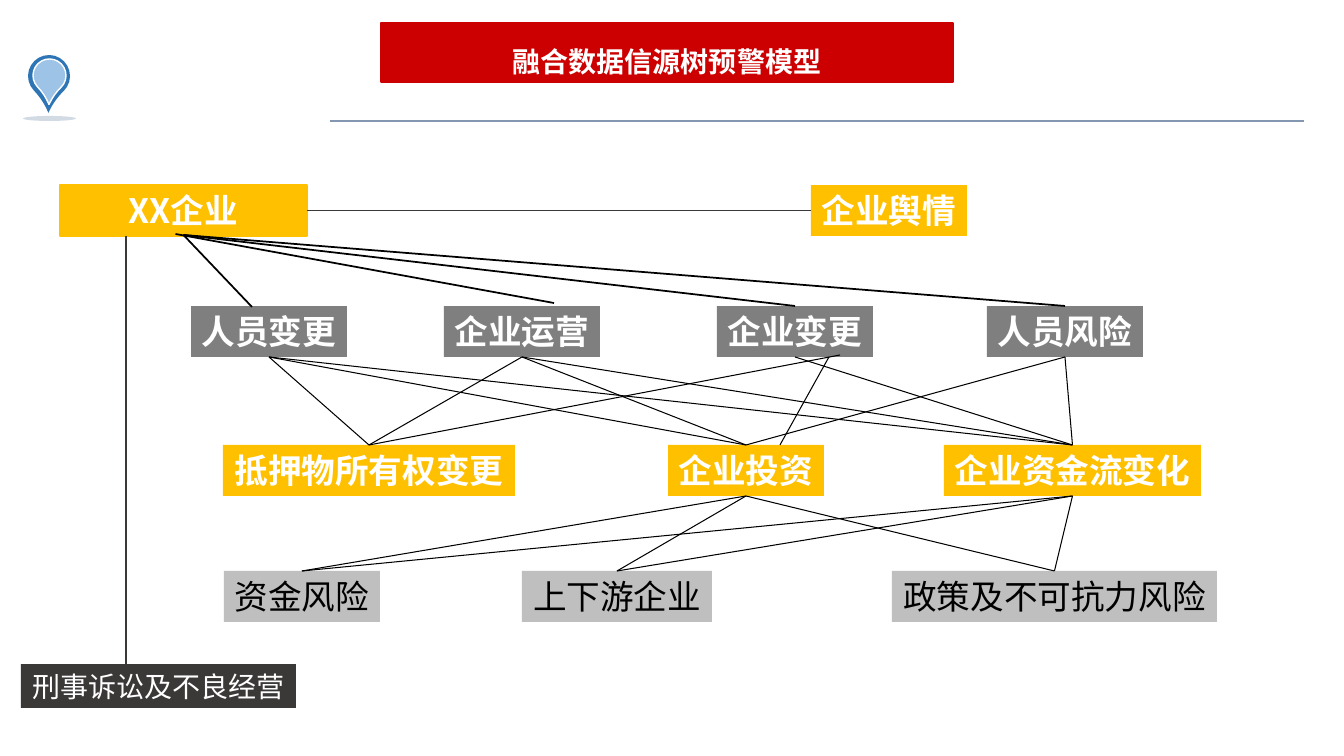
from dataclasses import dataclass

from lxml import etree
from pptx import Presentation
from pptx.dml.color import RGBColor
from pptx.enum.shapes import MSO_CONNECTOR, MSO_SHAPE
from pptx.enum.text import MSO_ANCHOR, MSO_AUTO_SIZE, PP_ALIGN
from pptx.oxml.ns import qn
from pptx.util import Pt

RECTANGLE, TEARDROP, OVAL = MSO_SHAPE.RECTANGLE, MSO_SHAPE.TEAR, MSO_SHAPE.OVAL
STRAIGHT = MSO_CONNECTOR.STRAIGHT
CENTER, MIDDLE = PP_ALIGN.CENTER, MSO_ANCHOR.MIDDLE
PAGE_WIDTH, PAGE_HEIGHT = 1344, 756
EMU_PER_PX = 914400 / 100.8
TITLE_ONLY = 5


@dataclass(frozen=True)
class Theme:
    font: str = "Noto Sans CJK SC"
    red: str = "CC0000"
    gold: str = "FFC000"
    gray: str = "7F7F7F"
    silver: str = "BFBFBF"
    charcoal: str = "3B3838"
    white: str = "FFFFFF"
    black: str = "000000"
    pin: str = "2E75B6"
    pin_inside: str = "9DC3E6"
    pin_shadow: str = "1F4E79"
    rule: str = "8497B0"
    node_size: int = 24
    small_size: int = 20


THEME = Theme()

TITLE = "融合数据信源树预警模型"
TITLE_AREA = (381, 23, 572, 59)
RULE = ((330, 121), (1304, 121))

ROOT, OPINION, LAWSUIT = "XX企业", "企业舆情", "刑事诉讼及不良经营"
STAFF_CHANGE, OPERATION = "人员变更", "企业运营"
FIRM_CHANGE, STAFF_RISK = "企业变更", "人员风险"
COLLATERAL, INVESTMENT, CASH_FLOW = "抵押物所有权变更", "企业投资", "企业资金流变化"
FUND_RISK, SUPPLY_CHAIN, POLICY_RISK = "资金风险", "上下游企业", "政策及不可抗力风险"

# Rows: top, height, fill, text colour, size, bold, {text: (left, width)}
ROWS = [
    (185, 51, THEME.gold, THEME.white, THEME.node_size, True,
     {ROOT: (60, 247), OPINION: (811, 156)}),
    (306, 51, THEME.gray, THEME.white, THEME.node_size, True,
     {STAFF_CHANGE: (191, 156), OPERATION: (444, 156),
      FIRM_CHANGE: (717, 156), STAFF_RISK: (987, 156)}),
    (445, 51, THEME.gold, THEME.white, THEME.node_size, True,
     {COLLATERAL: (223, 292), INVESTMENT: (668, 156), CASH_FLOW: (944, 257)}),
    (571, 51, THEME.silver, THEME.black, THEME.node_size, False,
     {FUND_RISK: (224, 156), SUPPLY_CHAIN: (522, 190), POLICY_RISK: (892, 325)}),
    (664, 44, THEME.charcoal, THEME.white, THEME.small_size, False,
     {LAWSUIT: (21, 275)}),
]

# Parent: (line width, children)
LINKS = {
    ROOT: (1.25, [STAFF_CHANGE, OPERATION, FIRM_CHANGE, STAFF_RISK]),
    STAFF_CHANGE: (0.75, [COLLATERAL, INVESTMENT, CASH_FLOW]),
    OPERATION: (0.75, [COLLATERAL, INVESTMENT, CASH_FLOW]),
    FIRM_CHANGE: (0.75, [COLLATERAL, INVESTMENT, CASH_FLOW]),
    STAFF_RISK: (0.75, [INVESTMENT, CASH_FLOW]),
    INVESTMENT: (0.75, [FUND_RISK, SUPPLY_CHAIN, POLICY_RISK]),
    CASH_FLOW: (0.75, [FUND_RISK, SUPPLY_CHAIN, POLICY_RISK]),
}
# Shifts of a link's two ends away from the middle of the box edges
SHIFTS = {
    (ROOT, STAFF_CHANGE): ((0, -1), (-17, 1)),
    (ROOT, OPERATION): ((-8, -2), (32, -3)),
    (ROOT, FIRM_CHANGE): ((0, -1), (0, 0)),
    (ROOT, STAFF_RISK): ((0, -1), (0, 0)),
    (FIRM_CHANGE, COLLATERAL): ((45, -2), (0, 0)),
    (FIRM_CHANGE, INVESTMENT): ((34, 0), (34, 0)),
}
NO_SHIFT = ((0, 0), (0, 0))
LAWSUIT_LINE_X = 126


def px(value):
    return round(value * EMU_PER_PX)


def rgb(color):
    return RGBColor.from_string(color)


def paint(shape, fill, line=None, width=2):
    shape.fill.solid()
    shape.fill.fore_color.rgb = rgb(fill)
    if line:
        shape.line.color.rgb = rgb(line)
        shape.line.width = Pt(width)
    else:
        shape.line.fill.background()


def add_figure(page, kind, area, fill, line=None, width=2):
    shape = page.shapes.add_shape(kind, *map(px, area))
    shape.shadow.inherit = False
    paint(shape, fill, line, width)
    return shape


def write(shape, text, size, color, bold):
    frame = shape.text_frame
    frame.auto_size = MSO_AUTO_SIZE.NONE
    frame.vertical_anchor = MIDDLE
    para = frame.paragraphs[0]
    para.alignment = CENTER
    span = para.add_run()
    span.text = text
    font = span.font
    font.name, font.size, font.bold = THEME.font, Pt(size), bold
    font.color.rgb = rgb(color)
    east_asian = etree.SubElement(font._element, qn("a:ea"))
    east_asian.set("typeface", THEME.font)
    return para


def add_line(page, start, end, color, width):
    line = page.shapes.add_connector(STRAIGHT, *map(px, (*start, *end)))
    line.line.color.rgb = rgb(color)
    line.line.width = Pt(width)
    etree.SubElement(line._element.spPr, qn("a:effectLst"))


def add_pin(page):
    add_pin_part = ((28, 55, 42, 42), THEME.pin, None), ((33, 59, 33, 33), THEME.pin_inside, THEME.white)
    for area, fill, line in add_pin_part:
        drop = add_figure(page, TEARDROP, area, fill, line, 1)
        drop.adjustments[0] = 1.24
        drop.rotation = 136
    shadow = add_figure(page, OVAL, (23, 116, 53, 5), THEME.pin_shadow)
    color = shadow._element.spPr.find(qn("a:solidFill"))[0]
    etree.SubElement(color, qn("a:alpha")).set("val", "20000")


def add_title(page):
    title = page.shapes.title
    title.left, title.top, title.width, title.height = map(px, TITLE_AREA)
    paint(title, THEME.red, THEME.red)
    para = write(title, TITLE, THEME.small_size, THEME.white, True)
    para.line_spacing = 1.5


def add_nodes(page):
    """Draw every box and return the area of each by its text."""
    areas = {}
    for top, height, fill, color, size, bold, nodes in ROWS:
        for text, (left, width) in nodes.items():
            areas[text] = (left, top, width, height)
            box = add_figure(page, RECTANGLE, areas[text], fill,
                             THEME.gold if text == ROOT else None)
            box.text_frame.margin_top = box.text_frame.margin_bottom = 0
            box.text_frame.word_wrap = text == ROOT
            write(box, text, size, color, bold)
    return areas


def add_links(page, areas):
    left, top, width, height = areas[ROOT]
    middle = top + height / 2
    add_line(page, (LAWSUIT_LINE_X, top + height),
             (LAWSUIT_LINE_X, areas[LAWSUIT][1]), THEME.charcoal, 1.25)
    add_line(page, (left + width, middle), (areas[OPINION][0], middle),
             THEME.charcoal, 1.25)
    for parent, (weight, children) in LINKS.items():
        left, top, width, height = areas[parent]
        for child in children:
            child_left, child_top, child_width, _ = areas[child]
            (start_x, start_y), (end_x, end_y) = SHIFTS.get((parent, child), NO_SHIFT)
            start = (left + width / 2 + start_x, top + height + start_y)
            end = (child_left + child_width / 2 + end_x, child_top + end_y)
            add_line(page, start, end, THEME.black, weight)


def main():
    deck = Presentation()
    deck.slide_width, deck.slide_height = px(PAGE_WIDTH), px(PAGE_HEIGHT)
    page = deck.slides.add_slide(deck.slide_layouts[TITLE_ONLY])
    add_title(page)
    add_pin(page)
    add_line(page, *RULE, THEME.rule, 2)
    add_links(page, add_nodes(page))
    deck.save("out.pptx")


if __name__ == "__main__":
    main()
